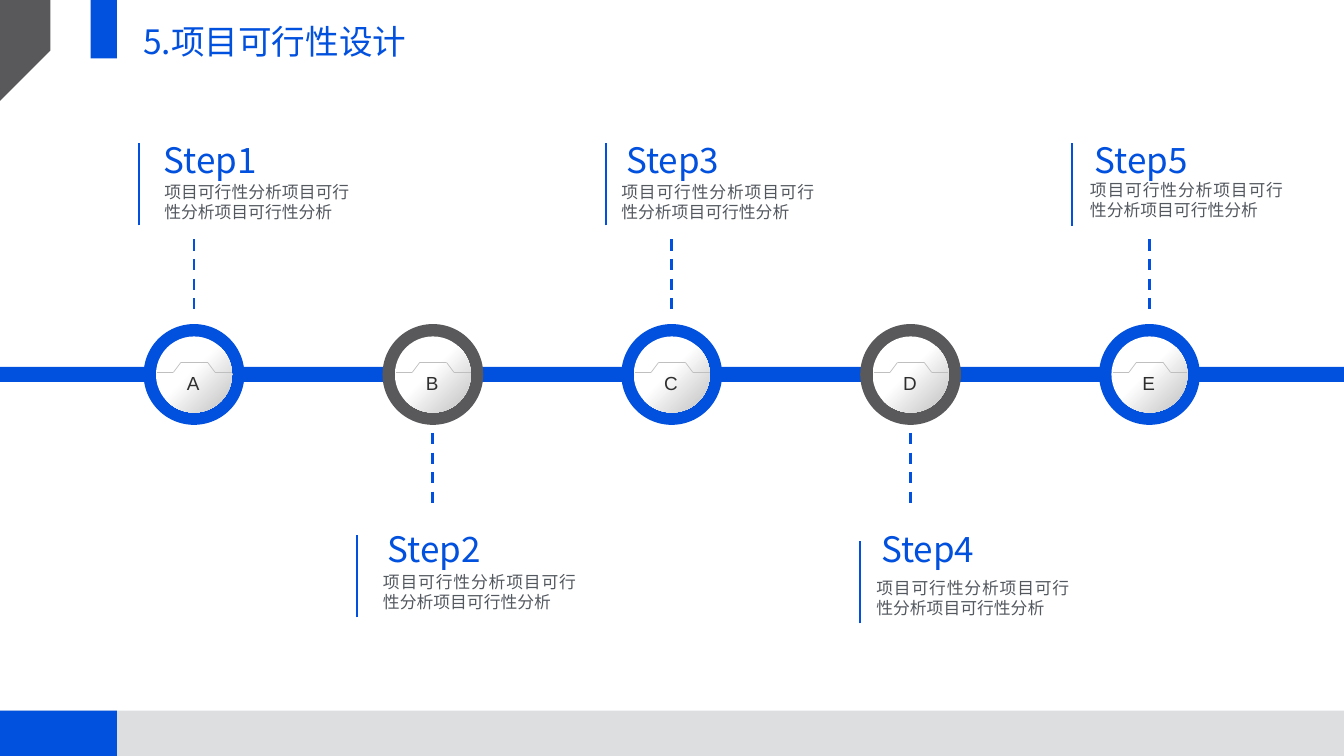
"""Five-step timeline slide on project feasibility design."""
from lxml import etree
from pptx import Presentation
from pptx.dml.color import RGBColor
from pptx.enum import dml, shapes, text
from pptx.oxml.ns import qn
from pptx.util import Inches, Pt

BLUE = RGBColor(0x02, 0x50, 0xDE)
DARK = RGBColor(0x59, 0x59, 0x5B)
PALE = RGBColor(0xDC, 0xDE, 0xE0)
SILVER = RGBColor(0xBF, 0xBF, 0xBF)
WHITE = RGBColor(0xFF, 0xFF, 0xFF)
INK = RGBColor(0x2E, 0x2E, 0x2E)
BODY = RGBColor(0x53, 0x58, 0x5F)
CJK = "Noto Sans CJK SC"
DETAIL = "项目可行性分析项目可行性分析项目可行性分析"
MIDDLE, TOP = text.MSO_ANCHOR.MIDDLE, text.MSO_ANCHOR.TOP
LEFT, CENTER, JUSTIFY = text.PP_ALIGN.LEFT, text.PP_ALIGN.CENTER, text.PP_ALIGN.JUSTIFY


def write(sp, words, size, color, font, align, anchor, inset, wrap):
    tf = sp.text_frame
    frame = {"word_wrap": wrap, "vertical_anchor": anchor,
             "auto_size": text.MSO_AUTO_SIZE.SHAPE_TO_FIT_TEXT}
    for side in ("left", "right", "top", "bottom"):
        frame[f"margin_{side}"] = Inches(inset)
    for name, value in frame.items():
        setattr(tf, name, value)
    p = tf.paragraphs[0]
    p.alignment = align
    r = p.add_run()
    r.text = words
    r.font.color.rgb = color
    for name, value in {"size": Pt(size), "name": font}.items():
        setattr(r.font, name, value)
    etree.SubElement(r.font._element, qn("a:ea"), typeface=font)


def line(parent, x1, y1, x2, y2, color, width):
    c = parent.add_connector(shapes.MSO_CONNECTOR.STRAIGHT,
                             Inches(x1), Inches(y1), Inches(x2), Inches(y2))
    c.line.color.rgb = color
    c.line.width = Pt(width)
    etree.SubElement(c._element.spPr, qn("a:effectLst"))
    return c


prs = Presentation()
prs.slide_width, prs.slide_height = Inches(26.67), Inches(15)
s = prs.slides.add_slide(prs.slide_layouts[5])

title = s.shapes.title
for name, value in {"left": 2.74, "top": 0.32, "width": 5.51, "height": 1.09}.items():
    setattr(title, name, Inches(value))
write(title, "5.项目可行性设计", 48, BLUE, CJK, LEFT, TOP, 0.1, True)

bars = [
    (0, 14.1, 26.67, 0.92, PALE),
    (0, 14.1, 2.32, 0.92, BLUE),
    (1.8, 0, 0.52, 1.16, BLUE),
    (0, 7.28, 26.67, 0.3, BLUE),
]
for x, y, w, h, color in bars:
    sp = s.shapes.add_shape(shapes.MSO_SHAPE.RECTANGLE,
                            Inches(x), Inches(y), Inches(w), Inches(h))
    sp.shadow.inherit = False
    sp.fill.solid()
    sp.fill.fore_color.rgb = color
    sp.line.fill.background()

fb = s.shapes.build_freeform(0, 0, scale=Inches(1))
fb.add_line_segments([(0, 1.8), (1.38, 1.17), (1.38, 0)], close=True)
corner = fb.convert_to_shape()
corner.shadow.inherit = False
corner.fill.solid()
corner.fill.fore_color.rgb = DARK
corner.line.fill.background()

FIRST, PITCH, AXIS = 3.85, 4.74, 7.43
ROOF = [(-0.73, 7.39), (-0.41, 7.39), (-0.26, 7.19),
        (0.27, 7.19), (0.42, 7.39), (0.75, 7.39)]
steps = [
    ("A", (3.15, 2.63), (3.18, 3.5), 0.08, (2.76, 2.83)),
    ("B", (7.6, 10.35), (7.6, 11.23), 0, (7.09, 10.61)),
    ("C", (12.33, 2.62), (12.33, 3.5), 0, (12.02, 2.83)),
    ("D", (17.39, 10.35), (17.39, 11.35), 0, (17.06, 10.73)),
    ("E", (21.63, 2.62), (21.63, 3.45), 0, (21.27, 2.84)),
]
for i, (letter, heading, detail, inset, rule) in enumerate(steps):
    x = FIRST + i * PITCH
    above = i % 2 == 0

    badge = s.shapes.add_group_shape().shapes
    for d in (2, 1.51):
        sp = badge.add_shape(shapes.MSO_SHAPE.OVAL, Inches(x - d / 2),
                             Inches(AXIS - d / 2), Inches(d), Inches(d))
        sp.shadow.inherit = False
        sp.line.fill.background()
        if d == 2:
            sp.fill.solid()
            sp.fill.fore_color.rgb = BLUE if above else DARK
        else:
            sp.fill.gradient()
            sp.fill.gradient_angle = 315
            for stop, position, color in zip(sp.fill.gradient_stops, (0.46, 1), (WHITE, SILVER)):
                stop.position = position
                stop.color.rgb = color
    for (x1, y1), (x2, y2) in zip(ROOF, ROOF[1:]):
        line(badge, x + x1, y1, x + x2, y2, SILVER, 1)

    sp = s.shapes.add_textbox(Inches(x - 0.24), Inches(7.29), Inches(0.45), Inches(0.62))
    write(sp, letter, 27, INK, "Arial", CENTER, TOP, 0.09, False)

    y = 4.75 if above else 8.59
    line(s.shapes, x, y, x, y + 1.45, BLUE, 4).line.dash_style = dml.MSO_LINE.DASH
    line(s.shapes, rule[0], rule[1] + 1.64, *rule, BLUE, 3)

    sp = s.shapes.add_textbox(*map(Inches, heading), Inches(2.04), Inches(1.07))
    write(sp, f"Step{i + 1}", 50, BLUE, CJK, CENTER, MIDDLE, 0.08, False)
    sp = s.shapes.add_textbox(*map(Inches, detail), Inches(3.83), Inches(1.02))
    write(sp, DETAIL, 24, BODY, CJK, JUSTIFY, MIDDLE, inset, True)

prs.save("out.pptx")
